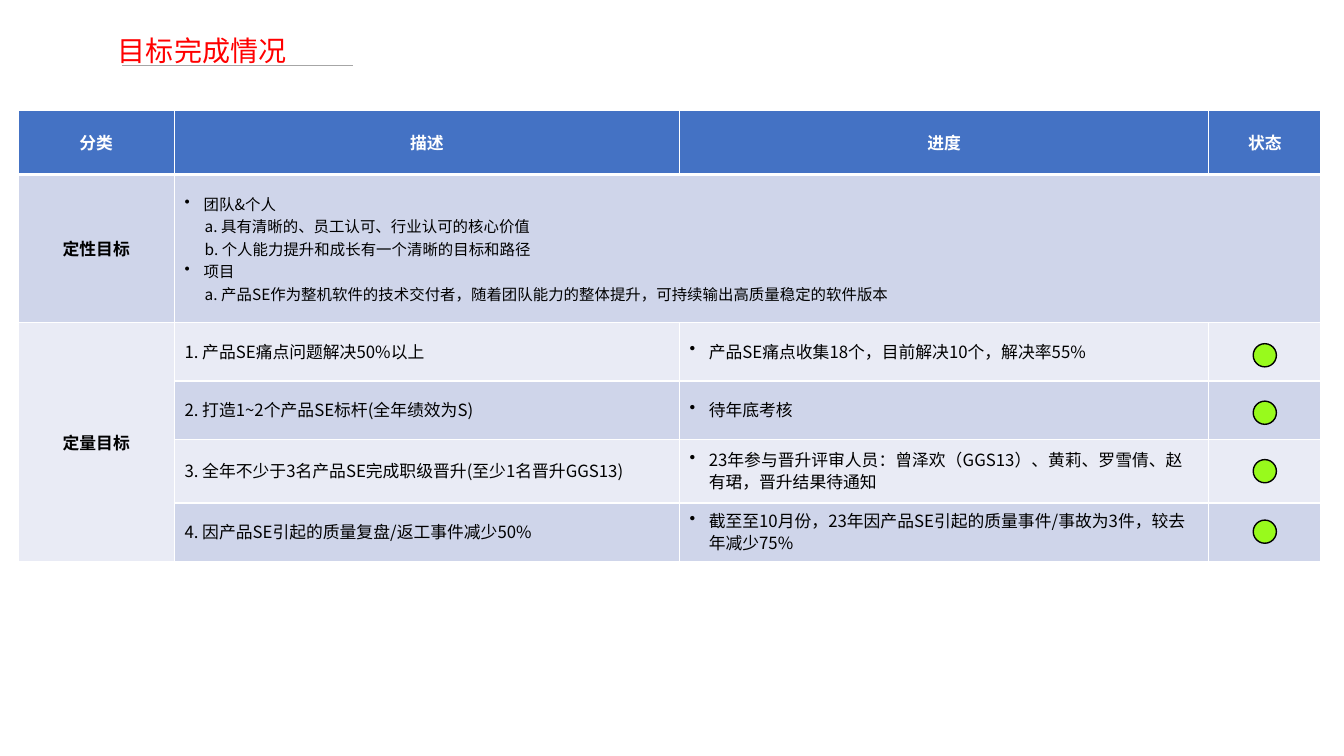
"""Build the goal completion status slide."""
import pptx
import pptx.util
import pptx.dml.color
import pptx.enum.shapes
import pptx.enum.text
import pptx.oxml
import pptx.oxml.ns
from lxml import etree

Inches = pptx.util.Inches
Pt = pptx.util.Pt
FONT = "Noto Sans CJK SC"
BLUE, DARK_BAND, LIGHT_BAND = "4472C4", "CFD5EA", "E9EBF5"
TITLE = "目标完成情况"
HEADERS = ["分类", "描述", "进度", "状态"]
QUALITATIVE = "定性目标"
QUALITATIVE_ITEMS = [
    ("bullet", "团队&个人"),
    ("indent", "a. 具有清晰的、员工认可、行业认可的核心价值"),
    ("indent", "b. 个人能力提升和成长有一个清晰的目标和路径"),
    ("bullet", "项目"),
    ("indent", "a. 产品SE作为整机软件的技术交付者，随着团队能力的整体提升，可持续输出高质量稳定的软件版本"),
]
QUANTITATIVE = "定量目标"
GOALS = [
    ("1. 产品SE痛点问题解决50%以上", "产品SE痛点收集18个，目前解决10个，解决率55%"),
    ("2. 打造1~2个产品SE标杆(全年绩效为S)", "待年底考核"),
    ("3. 全年不少于3名产品SE完成职级晋升(至少1名晋升GGS13)",
     "23年参与晋升评审人员：曾泽欢（GGS13）、黄莉、罗雪倩、赵有珺，晋升结果待通知"),
    ("4. 因产品SE引起的质量复盘/返工事件减少50%",
     "截至至10月份，23年因产品SE引起的质量事件/事故为3件，较去年减少75%"),
]
STATUS_TOPS = [3.41, 3.98, 4.56, 5.16]
STATUS_LEFT, STATUS_SIZE = 12.43, 0.23
COLUMNS = [1.55, 5.01, 5.25, 1.11]
ROWS = [0.63, 1.47, 0.58, 0.58, 0.63, 0.58]
LEFT, TOP = 0.18, 1.1


def rgb(value):
    return pptx.dml.color.RGBColor.from_string(value)


def write(tf, text, size=12, color="000000", bold=False, align=None,
          spacing=Pt(16), style=None, first=True):
    p = tf.paragraphs[0] if first else tf.add_paragraph()
    p.alignment = align
    p.line_spacing = spacing
    pPr = p._p.get_or_add_pPr()
    if style == "bullet":
        pPr.set("marL", str(Inches(0.19)))
        pPr.set("indent", str(-Inches(0.19)))
        etree.SubElement(pPr, pptx.oxml.ns.qn("a:buChar")).set("char", "•")
    elif style == "indent":
        pPr.set("marL", "0")
        pPr.set("indent", str(Inches(0.2)))
    r = p.add_run()
    r.text = text
    r.font.size, r.font.bold, r.font.name = Pt(size), bold, FONT
    r.font.color.rgb = rgb(color)
    ea = etree.SubElement(r._r.get_or_add_rPr(), pptx.oxml.ns.qn("a:ea"))
    ea.set("typeface", FONT)


def style_cell(cell, fill, bottom=1, top=1):
    cell.fill.solid()
    cell.fill.fore_color.rgb = rgb(fill)
    cell.vertical_anchor = pptx.enum.text.MSO_ANCHOR.MIDDLE
    tcPr = cell._tc.get_or_add_tcPr()
    sides = [("lnL", 1), ("lnR", 1), ("lnT", top), ("lnB", bottom)]
    for i, (side, width) in enumerate(sides):
        tcPr.insert(i, pptx.oxml.parse_xml(
            f'<a:{side} {pptx.oxml.ns.nsdecls("a")} w="{Pt(width)}"><a:solidFill>'
            f'<a:srgbClr val="FFFFFF"/></a:solidFill></a:{side}>'))


def add_goal_table(s):
    shape = s.shapes.add_table(len(ROWS), len(COLUMNS), Inches(LEFT), Inches(TOP),
                               Inches(sum(COLUMNS)), Inches(sum(ROWS)))
    table = shape.table
    for column, width in zip(table.columns, COLUMNS):
        column.width = Inches(width)
    for i, (row, height) in enumerate(zip(table.rows, ROWS)):
        row.height = Inches(height)
        fill = BLUE if i == 0 else DARK_BAND if i % 2 else LIGHT_BAND
        for cell in row.cells:
            style_cell(cell, fill, bottom=1 if i else 3, top=3 if i == 1 else 1)
    table.cell(1, 1).merge(table.cell(1, 3))
    table.cell(2, 0).merge(table.cell(5, 0))

    center = pptx.enum.text.PP_ALIGN.CENTER
    for j, text in enumerate(HEADERS):
        write(table.cell(0, j).text_frame, text, color="FFFFFF", bold=True,
              align=center, spacing=None)
    for i, text in enumerate([QUALITATIVE, QUANTITATIVE], start=1):
        write(table.cell(i, 0).text_frame, text, bold=True, align=center, spacing=None)
    for i, (style, text) in enumerate(QUALITATIVE_ITEMS):
        write(table.cell(1, 1).text_frame, text, size=11, style=style, first=i == 0)
    for i, (goal, progress) in enumerate(GOALS, start=2):
        write(table.cell(i, 1).text_frame, goal)
        write(table.cell(i, 2).text_frame, progress, style="bullet")


def add_title(s):
    line = s.shapes.add_connector(pptx.enum.shapes.MSO_CONNECTOR.STRAIGHT,
                                  Inches(1.21), Inches(0.65), Inches(3.5), Inches(0.65))
    line.line.color.rgb = rgb("A6A6A6")
    line.line.width = Pt(0.5)
    etree.SubElement(line._element.spPr, pptx.oxml.ns.qn("a:effectLst"))
    box = s.shapes.add_textbox(Inches(1.14), Inches(0.14), Inches(3.2), Inches(0.56))
    tf = box.text_frame
    tf.word_wrap = True
    tf.vertical_anchor = pptx.enum.text.MSO_ANCHOR.MIDDLE
    tf.margin_left = tf.margin_right = tf.margin_top = tf.margin_bottom = Inches(0.03)
    write(tf, TITLE, size=20, color="FF0000", spacing=1.5)


def add_status(s, top):
    sp = s.shapes.add_shape(pptx.enum.shapes.MSO_SHAPE.OVAL, Inches(STATUS_LEFT),
                            Inches(top), Inches(STATUS_SIZE), Inches(STATUS_SIZE))
    sp.shadow.inherit = False
    sp.fill.solid()
    sp.fill.fore_color.rgb = rgb("98FA1C")
    sp.line.color.rgb = rgb("000000")
    sp.line.width = Pt(1)


def main():
    prs = pptx.Presentation()
    prs.slide_width, prs.slide_height = Inches(13.33), Inches(7.5)
    s = prs.slides.add_slide(prs.slide_layouts[6])
    add_title(s)
    add_goal_table(s)
    for top in STATUS_TOPS:
        add_status(s, top)
    prs.save("out.pptx")


if __name__ == "__main__":
    main()
